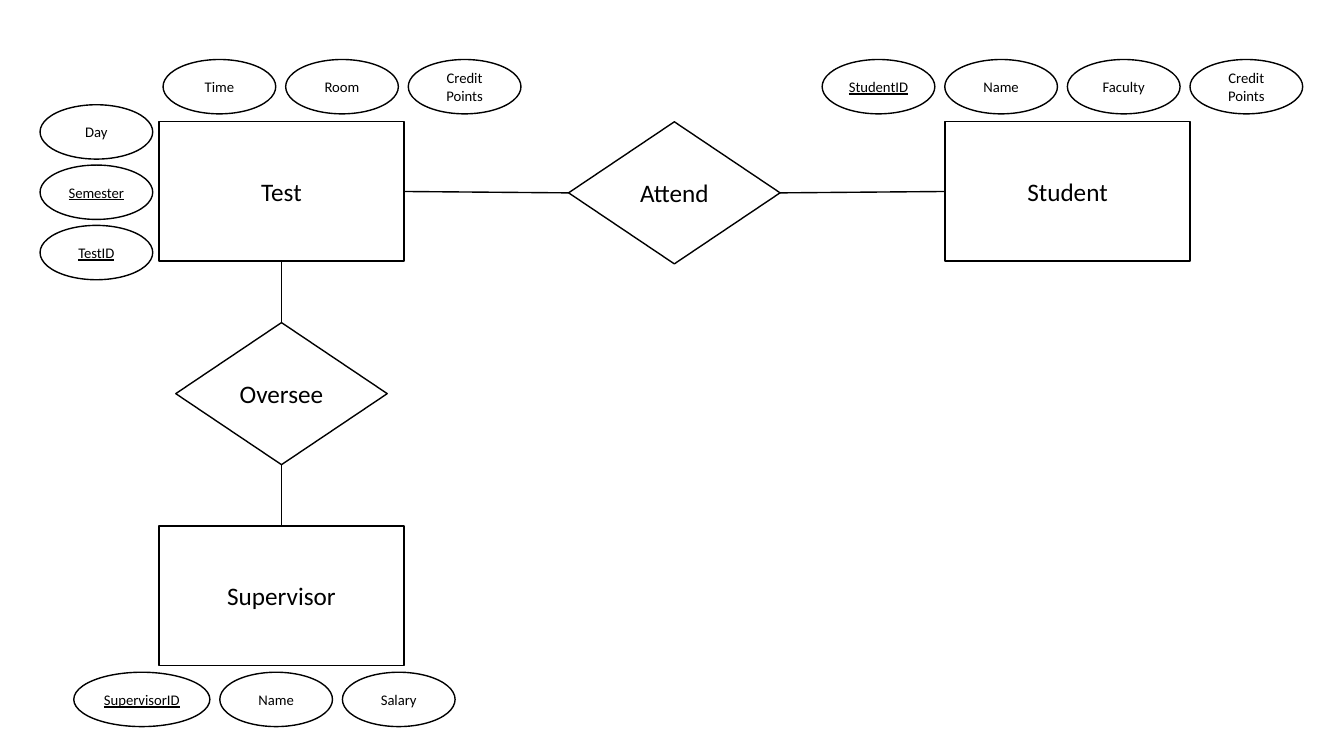
from collections import namedtuple
from dataclasses import dataclass

from lxml import etree
from pptx import Presentation
from pptx.dml.color import RGBColor
from pptx.enum.shapes import MSO_CONNECTOR, MSO_SHAPE
from pptx.enum.text import MSO_ANCHOR, PP_ALIGN
from pptx.oxml.ns import qn
from pptx.util import Cm, Pt

RECT = MSO_SHAPE.RECTANGLE
DIAMOND = MSO_SHAPE.FLOWCHART_DECISION
OVAL = MSO_SHAPE.OVAL
LINE = MSO_CONNECTOR.STRAIGHT
CENTER = PP_ALIGN.CENTER
MIDDLE = MSO_ANCHOR.MIDDLE
TOP, LEFT, BOTTOM, RIGHT = range(4)

Box = namedtuple("Box", "left top width height")


@dataclass(frozen=True)
class Theme:
    """Hold the colours, font and type sizes."""

    ink: RGBColor = RGBColor(0, 0, 0)
    paper: RGBColor = RGBColor(255, 255, 255)
    font: str = "Calibri"
    large: float = 18
    small: float = 10.5
    line: float = 1


THEME = Theme()
FRAME = {
    "margin_left": 0, "margin_right": 0, "margin_top": 0, "margin_bottom": 0,
    "vertical_anchor": MIDDLE, "word_wrap": True,
}
ENTITY = (6.17, 3.51)
LINK = (5.33, 3.58)
OVAL_WIDTH, OVAL_HEIGHT = 2.84, 1.37
WIDE = {"SupervisorID": 3.43}
GAP_X, GAP_Y = 0.25, 0.15
KEYS = {"StudentID", "Semester", "TestID", "SupervisorID"}


def apply(target, values):
    """Set each named value on the target."""
    for name, value in values.items():
        setattr(target, name, value)


def stroke(line):
    """Give a line its colour and width."""
    line.color.rgb = THEME.ink
    line.width = Pt(THEME.line)


def node(slide, kind, box, text, size):
    """Draw one outlined shape with centred text."""
    shape = slide.shapes.add_shape(kind, *map(Cm, box))
    shape.shadow.inherit = False
    shape.fill.solid()
    shape.fill.fore_color.rgb = THEME.paper
    stroke(shape.line)
    frame = shape.text_frame
    apply(frame, FRAME)
    frame.text = text
    for para in frame.paragraphs:
        para.alignment = CENTER
        apply(para.runs[0].font, {
            "name": THEME.font, "size": Pt(size), "underline": text in KEYS,
        })
        para.runs[0].font.color.rgb = THEME.ink
    return shape


def traits(slide, box, shift, names, down=False):
    """Place a row or column of ovals by its shift from an entity box."""
    left, top = box.left + shift[0], box.top + shift[1]
    for name in names:
        width = WIDE.get(name, OVAL_WIDTH)
        node(slide, OVAL, Box(left, top, width, OVAL_HEIGHT), name, THEME.small)
        if down:
            top += OVAL_HEIGHT + GAP_Y
        else:
            left += width + GAP_X


def entity(slide, box, name, groups):
    """Draw an entity and the groups of traits around it."""
    shape = node(slide, RECT, box, name, THEME.large)
    for group in groups:
        traits(slide, box, *group)
    return shape


def join(slide, start, exit_side, end, entry_side):
    """Connect two shapes at the given sides."""
    line = slide.shapes.add_connector(LINE, 0, 0, 0, 0)
    line.begin_connect(start, exit_side)
    line.end_connect(end, entry_side)
    stroke(line.line)
    etree.SubElement(line._element.spPr, qn("a:effectLst"))


def diagram(slide, box):
    """Lay out the entities and their relations within the box."""
    def place(left, top, size):
        return Box(box.left + left, box.top + top, *size)

    test = entity(slide, place(4.01, 3.07, ENTITY), "Test", [
        ((0.1, -1.57), ["Time", "Room", "Credit\nPoints"]),
        ((-3, -0.43), ["Day", "Semester", "TestID"], True),
    ])
    student = entity(slide, place(23.82, 3.07, ENTITY), "Student", [
        ((-3.1, -1.57), ["StudentID", "Name", "Faculty", "Credit\nPoints"]),
    ])
    boss = entity(slide, place(4.01, 13.26, ENTITY), "Supervisor", [
        ((-2.15, 3.68), ["SupervisorID", "Name", "Salary"]),
    ])
    attend = node(slide, DIAMOND, place(14.33, 3.07, LINK), "Attend", THEME.large)
    oversee = node(slide, DIAMOND, place(4.43, 8.13, LINK), "Oversee", THEME.large)
    for ends in (
        (student, LEFT, attend, RIGHT),
        (attend, LEFT, test, RIGHT),
        (test, BOTTOM, oversee, TOP),
        (oversee, BOTTOM, boss, TOP),
    ):
        join(slide, *ends)


def main():
    """Build and save the slide."""
    deck = Presentation()
    page = Box(0, 0, 33.87, 19.05)
    apply(deck, {"slide_width": Cm(page.width), "slide_height": Cm(page.height)})
    diagram(deck.slides.add_slide(deck.slide_layouts[6]), page)
    deck.save("out.pptx")


main()
